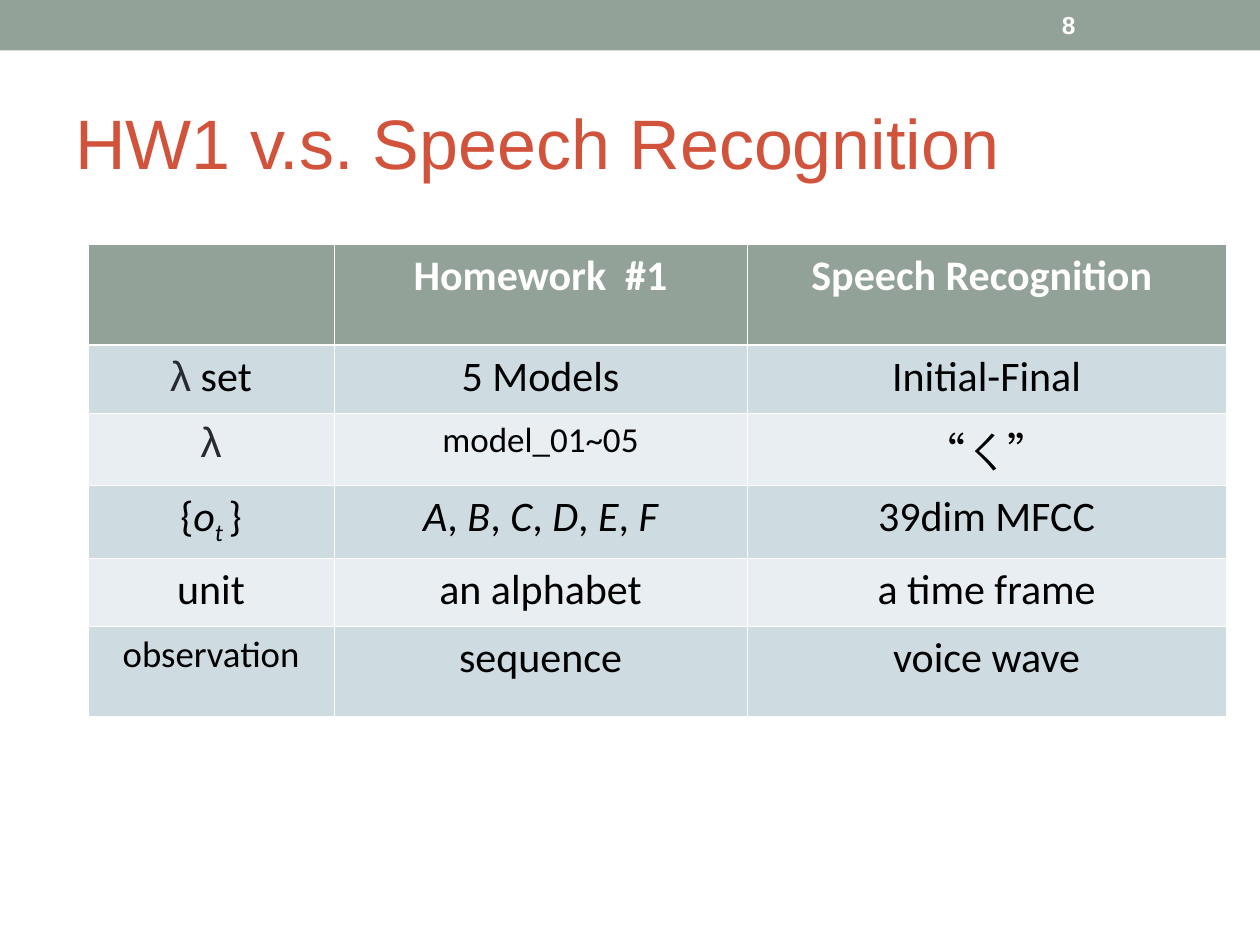
from lxml.etree import SubElement
from pptx import Presentation
from pptx.dml.color import RGBColor
from pptx.enum.shapes import MSO_SHAPE
from pptx.enum.text import MSO_ANCHOR, PP_ALIGN
from pptx.oxml.ns import qn
from pptx.util import Inches, Pt

COLORS = {
    "band": "93A299",
    "title": "D2533C",
    "white": "FFFFFF",
    "black": "000000",
    "lambda": "292934",
    "odd_row": "CEDCE1",
    "even_row": "E8EEF1",
}
COLUMN_WIDTHS = [1.95, 3.28, 3.8]
ROW_HEIGHTS = [0.8, 0.54, 0.57, 0.58, 0.54, 0.72]
LAMBDA = ("λ", "lambda")
ALPHABET = [("A", "italic")]
for letter in "BCDEF":
    ALPHABET += [(", ", ""), (letter, "italic")]
COMPARISON = [
    ["", "Homework  #1", "Speech Recognition "],
    [[LAMBDA, (" set", "")], "5 Models", "Initial-Final"],
    [[LAMBDA], "model_01~05", "“ㄑ”"],
    [[("{", ""), ("o", "italic"), ("t ", "subscript"), ("}", "")], ALPHABET, "39dim MFCC"],
    ["unit", "an alphabet", "a time frame"],
    ["observation", "sequence", "voice wave"],
]
SPECIAL_SIZES = {"model_01~05": 20, "observation": 21}


def rgb(name):
    return RGBColor.from_string(COLORS[name])


def set_font(font, face, size, color, bold=False):
    font.name = face
    font.size = Pt(size)
    font.bold = bold
    font.color.rgb = rgb(color)


def add_label(slide, box, text, size, color, bold=False):
    label = slide.shapes.add_textbox(*map(Inches, box)).text_frame
    label.word_wrap = True
    label.vertical_anchor = MSO_ANCHOR.MIDDLE
    paragraph = label.paragraphs[0]
    set_font(paragraph.font, "Arial", size, color, bold)
    paragraph.add_run().text = text


def add_header_band(slide, box):
    left, top, width, height = box
    band = slide.shapes.add_shape(MSO_SHAPE.RECTANGLE, *map(Inches, box))
    band.shadow.inherit = False
    band.fill.solid()
    band.fill.fore_color.rgb = rgb("band")
    band.line.fill.background()
    number_box = (left + width - 1.67, top + 0.02, 1.17, height - 0.04)
    add_label(slide, number_box, "8", 14, "white", True)


def add_borders(cell, row):
    properties = cell._tc.get_or_add_tcPr()
    heavy_side = {0: "lnB", 1: "lnT"}.get(row)
    for side in ("lnL", "lnR", "lnT", "lnB"):
        width = 1.47 if side == heavy_side else 0.45
        border = SubElement(properties, qn(f"a:{side}"), w=str(Pt(width)))
        fill = SubElement(border, qn("a:solidFill"))
        SubElement(fill, qn("a:srgbClr"), val=COLORS["white"])


def fill_cell(cell, content, row):
    add_borders(cell, row)
    cell.fill.solid()
    row_color = "odd_row" if row % 2 else "even_row"
    cell.fill.fore_color.rgb = rgb("band" if row == 0 else row_color)
    if not content:
        return
    paragraph = cell.text_frame.paragraphs[0]
    paragraph.alignment = PP_ALIGN.CENTER
    is_plain = isinstance(content, str)
    size = SPECIAL_SIZES.get(content, 24) if is_plain else 24
    header = row == 0
    set_font(paragraph.font, "Calibri", size, "white" if header else "black", header)
    for text, style in [(content, "")] if is_plain else content:
        run = paragraph.add_run()
        run.text = text
        if style == "lambda":
            run.font.name = "Arial"
            run.font.color.rgb = rgb("lambda")
        elif style:
            run.font.italic = True
        if style == "subscript":
            run._r.get_or_add_rPr().set("baseline", "-25000")


def add_comparison(slide, box):
    table = slide.shapes.add_table(
        len(ROW_HEIGHTS), len(COLUMN_WIDTHS), *map(Inches, box)
    ).table
    table.horz_banding = False
    for column, width in zip(table.columns, COLUMN_WIDTHS):
        column.width = Inches(width)
    for row, (height, contents) in enumerate(zip(ROW_HEIGHTS, COMPARISON)):
        table.rows[row].height = Inches(height)
        for column, content in enumerate(contents):
            fill_cell(table.cell(row, column), content, row)


def main():
    presentation = Presentation()
    presentation.slide_width = Inches(10)
    presentation.slide_height = Inches(7.5)
    slide = presentation.slides.add_slide(presentation.slide_layouts[6])
    add_header_band(slide, (0, 0, 10, 0.4))
    add_label(slide, (0.5, 0.58, 9, 1.08), "HW1 v.s. Speech Recognition", 40, "title")
    add_comparison(slide, (0.7, 1.94, sum(COLUMN_WIDTHS), sum(ROW_HEIGHTS)))
    presentation.save("out.pptx")


if __name__ == "__main__":
    main()
